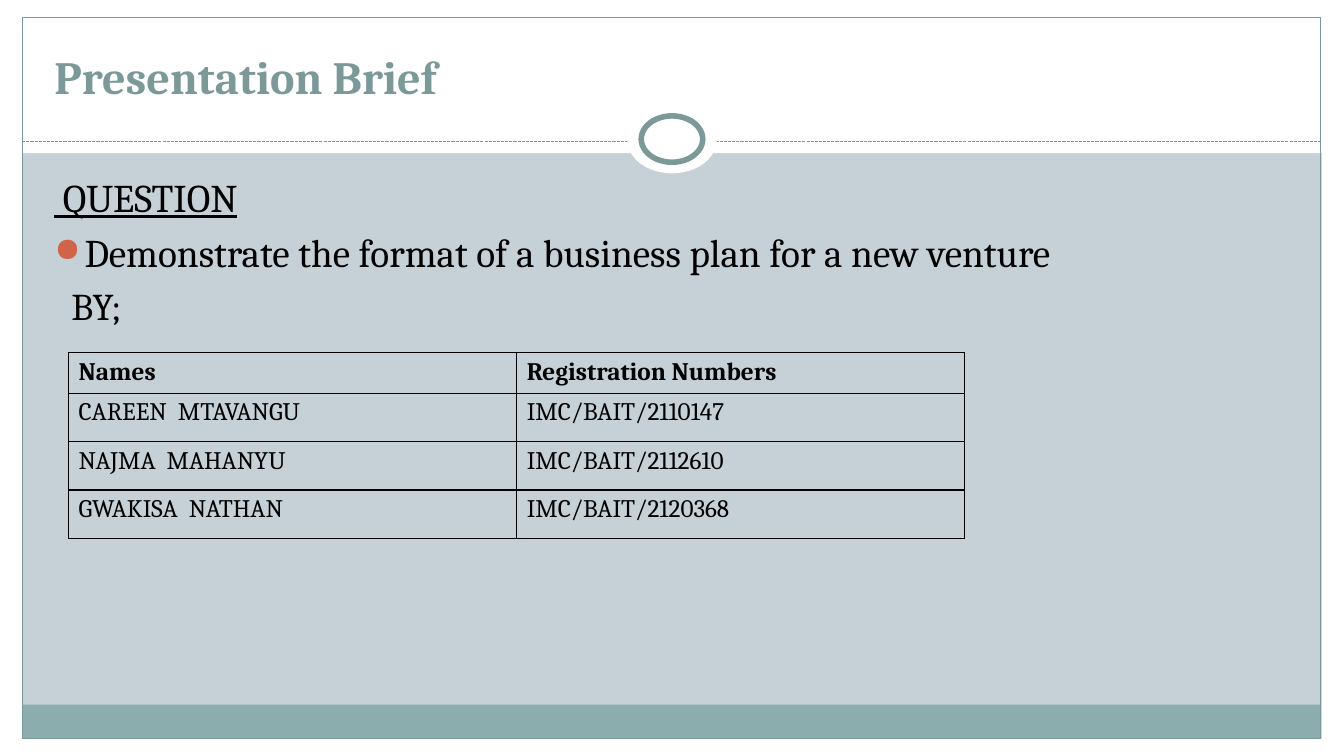
"""Build the presentation brief slide."""
from lxml import etree
from pptx import Presentation
from pptx import util as u
from pptx.dml.color import RGBColor
from pptx.enum import dml, shapes, text
from pptx.oxml import ns

FONT = "Cambria"
HUES = {
    "back": "C5D1D7",
    "white": "FFFFFF",
    "foot": "8CADAE",
    "teal": "7C999A",
    "ink": "000000",
    "dot": "D16349",
}
ROWS = [
    ("Names", "Registration Numbers"),
    ("CAREEN  MTAVANGU", "IMC/BAIT/2110147"),
    ("NAJMA  MAHANYU", "IMC/BAIT/2112610"),
    ("GWAKISA  NATHAN", "IMC/BAIT/2120368"),
]


def hue(name):
    """Return a named colour."""
    return RGBColor.from_string(HUES[name])


def add_tag(parent, tag, **attrs):
    """Append a drawing element to its parent."""
    node = etree.SubElement(parent, ns.qn(tag))
    for key, value in attrs.items():
        node.set(key, str(value))
    return node


def place(item, left, top, width, height):
    """Set the place and size of an item in inches."""
    item.left, item.top = u.Inches(left), u.Inches(top)
    item.width, item.height = u.Inches(width), u.Inches(height)


def write(para, words, size=18, color="ink", bold=False, under=False,
          before=None, indent=0, bullet=None):
    """Write formatted text into a paragraph."""
    props = para._p.get_or_add_pPr()
    para.alignment = text.PP_ALIGN.LEFT
    if before is not None:
        para.space_before = u.Pt(before)
    props.set("marL", str(u.Inches(indent)))
    props.set("indent", str(u.Inches(-indent if bullet else 0)))
    if bullet:
        add_tag(add_tag(props, "a:buClr"), "a:srgbClr", val=HUES["dot"])
        add_tag(props, "a:buSzPct", val=85000)
        add_tag(props, "a:buChar", char=bullet)
    else:
        add_tag(props, "a:buNone")
    run = para.add_run()
    run.text = words
    font = run.font
    font.name, font.size = FONT, u.Pt(size)
    font.bold, font.underline = bold, under
    font.color.rgb = hue(color)


def add_form(slide, kind, box, fill=None, line=None, width=0.75):
    """Add a preset shape with an optional fill and outline."""
    form = slide.shapes.add_shape(kind, *map(u.Inches, box))
    form.shadow.inherit = False
    if fill:
        form.fill.solid()
        form.fill.fore_color.rgb = hue(fill)
    else:
        form.fill.background()
    if line:
        form.line.color.rgb = hue(line)
        form.line.width = u.Pt(width)
    else:
        form.line.fill.background()


def add_rule(slide, left, right, top):
    """Add a dashed level line."""
    ends = map(u.Inches, (left, top, right, top))
    rule = slide.shapes.add_connector(shapes.MSO_CONNECTOR.STRAIGHT, *ends)
    rule.line.color.rgb = hue("teal")
    rule.line.width = u.Pt(0.75)
    rule.line.dash_style = dml.MSO_LINE.SQUARE_DOT
    add_tag(rule._element.spPr, "a:effectLst")


def add_frame(slide):
    """Add the margins, footer band, border and ring."""
    rect, oval = shapes.MSO_SHAPE.RECTANGLE, shapes.MSO_SHAPE.OVAL
    for box in [(0, 7.33, 13.33, 0.17), (0, 0, 13.33, 1.52),
                (0, 0, 0.22, 7.5), (13.11, 0, 0.22, 7.5)]:
        add_form(slide, rect, box, "white")
    add_form(slide, rect, (0.22, 6.99, 12.88, 0.34), "foot")
    add_form(slide, rect, (0.22, 0.17, 12.88, 7.16), line="teal")
    add_rule(slide, 0.22, 13.1, 1.4)
    add_form(slide, oval, (6.22, 1.05, 0.89, 0.67), "white")
    add_form(slide, oval, (6.36, 1.15, 0.61, 0.46), "white", "teal", 4)


def add_title(slide, words):
    """Fill the title and bring it in front of the frame."""
    title = slide.shapes.title
    place(title, 0.44, 0.25, 12.44, 0.83)
    title._element.getparent().append(title._element)
    frame = title.text_frame
    frame.auto_size = text.MSO_AUTO_SIZE.NONE
    frame.vertical_anchor = text.MSO_ANCHOR.BOTTOM
    write(frame.paragraphs[0], words, size=33, color="teal", bold=True)


def add_body(slide):
    """Add the question text."""
    box = slide.shapes.add_textbox(*map(u.Inches, (0.44, 1.67, 12.4, 5)))
    frame = box.text_frame
    frame.word_wrap = True
    write(frame.paragraphs[0], " QUESTION", size=28, under=True)
    write(frame.add_paragraph(),
          "Demonstrate the format of a business plan for a new venture",
          size=28, before=5.6, indent=0.3, bullet="●")
    write(frame.add_paragraph(), "BY;", size=27, before=5.4, indent=0.17)


def edge_cell(cell):
    """Draw a thin border on each side of a cell."""
    props = cell._tc.get_or_add_tcPr()
    for spot, side in enumerate(("a:lnL", "a:lnR", "a:lnT", "a:lnB")):
        edge = etree.Element(ns.qn(side), w=str(u.Pt(1)))
        add_tag(add_tag(edge, "a:solidFill"), "a:srgbClr", val=HUES["ink"])
        props.insert(spot, edge)


def add_grid(slide, rows):
    """Add the table of names and numbers."""
    size = map(u.Inches, (0.68, 3.5, 8.89, 1.84))
    grid = slide.shapes.add_table(len(rows), len(rows[0]), *size).table
    grid.horz_banding = False
    for row, words in enumerate(rows):
        grid.rows[row].height = u.Inches(0.48 if row else 0.39)
        for col, word in enumerate(words):
            cell = grid.cell(row, col)
            cell.fill.background()
            edge_cell(cell)
            write(cell.text_frame.paragraphs[0], word, bold=row == 0)


def main():
    """Build and save the slide."""
    deck = Presentation()
    deck.slide_width, deck.slide_height = u.Inches(13.33), u.Inches(7.5)
    slide = deck.slides.add_slide(deck.slide_layouts[5])
    slide.background.fill.solid()
    slide.background.fill.fore_color.rgb = hue("back")
    add_frame(slide)
    add_title(slide, "Presentation Brief")
    add_body(slide)
    add_grid(slide, ROWS)
    deck.save("out.pptx")


if __name__ == "__main__":
    main()
